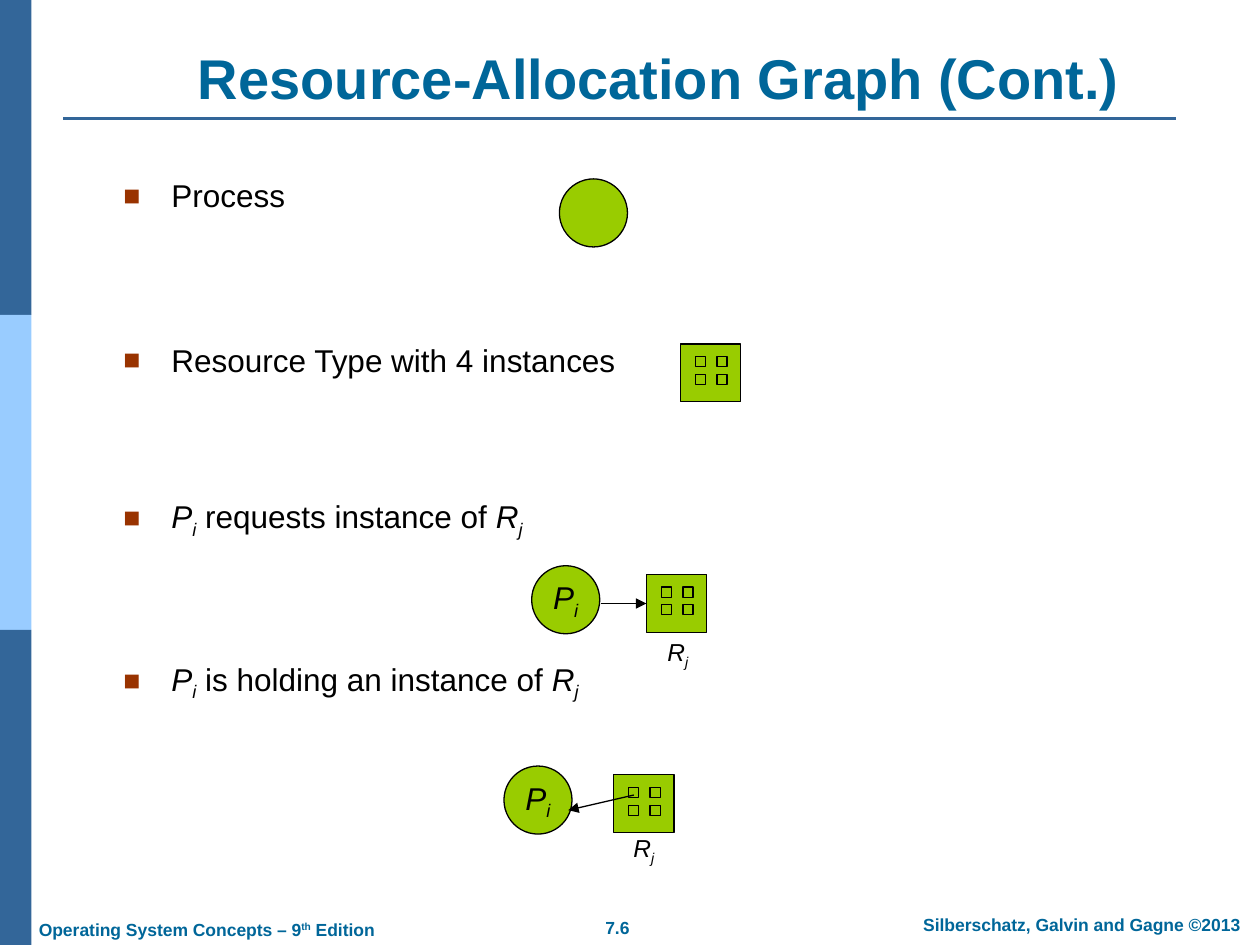
from lxml.etree import SubElement
from pptx import Presentation
from pptx.dml.color import RGBColor
from pptx.enum.shapes import MSO_CONNECTOR, MSO_SHAPE
from pptx.enum.text import MSO_ANCHOR, MSO_AUTO_SIZE, PP_ALIGN
from pptx.oxml.ns import qn
from pptx.util import Inches, Pt

BLUE = RGBColor(0x33, 0x66, 0x99)
SKY = RGBColor(0x99, 0xCC, 0xFF)
TEAL = RGBColor(0x00, 0x66, 0x99)
GREEN = RGBColor(0x99, 0xCC, 0x00)
BLACK = RGBColor(0, 0, 0)
RUST = "993300"

LEFT, CENTER = PP_ALIGN.LEFT, PP_ALIGN.CENTER
SHIFT = {"sub": "-25000", "sup": "30000"}

# Each piece of text is (words, style letters: "i" italic, "sub" or "sup")
TITLE = "Resource-Allocation Graph (Cont.)"
PI = [("P", ["i"]), ("i", ["i", "sub"])]
RJ = [("R", ["i"]), ("j", ["i", "sub"])]
BULLETS = [  # space before in points, pieces
    (0, [("Process", [])]),
    (72.4, [("Resource Type with 4 instances", [])]),
    (67.4, PI + [(" requests instance of ", [])] + RJ),
    (68.5, PI + [(" is holding an instance of ", [])] + RJ),
]
FOOTERS = [  # left, top, width, alignment, pieces
    (0.21, 7.24, 3.2, LEFT, [("Operating System Concepts – 9", []),
                             ("th", ["sup"]), (" Edition", [])]),
    (4.41, 7.23, 0.98, CENTER, [("7.6", [])]),
    (7.2, 7.2, 2.77, CENTER, [("Silberschatz, Galvin and Gagne ©2013", [])]),
]
CIRCLES = [(4.44, 1.42, []), (4.22, 4.49, PI), (4, 6.08, PI)]
BOXES = [(5.4, 2.73), (5.13, 4.56), (4.87, 6.15)]
LABELS = [(5.08, 5), (4.81, 6.56)]

prs = Presentation()
prs.slide_width, prs.slide_height = Inches(10), Inches(7.5)
slide = prs.slides.add_slide(prs.slide_layouts[1])
shapes = slide.shapes


def place(shape, left, top, width, height):
    shape.left, shape.top = Inches(left), Inches(top)
    shape.width, shape.height = Inches(width), Inches(height)


def write(par, pieces, size, color, bold=False):
    for words, style in pieces:
        run = par.add_run()
        run.text = words
        font = run.font
        font.name, font.size, font.bold = "Arial", Pt(size), bold
        font.italic = "i" in style
        font.color.rgb = color
        for key in style:
            if key in SHIFT:
                run._r.get_or_add_rPr().set("baseline", SHIFT[key])


def bullet(par):
    props = par._p.get_or_add_pPr()
    props.set("marL", str(Inches(0.38)))
    props.set("indent", str(-Inches(0.38)))
    SubElement(SubElement(props, qn("a:buClr")), qn("a:srgbClr")).set("val", RUST)
    SubElement(props, qn("a:buSzPct")).set("val", "90000")
    SubElement(props, qn("a:buFont")).set("typeface", "Arial")
    SubElement(props, qn("a:buChar")).set("char", "■")


def draw(home, kind, left, top, width, height, fill, edge=None):
    shape = home.add_shape(kind, Inches(left), Inches(top),
                           Inches(width), Inches(height))
    shape.shadow.inherit = False
    shape.fill.solid()
    shape.fill.fore_color.rgb = fill
    if edge is None:
        shape.line.fill.background()
    else:
        shape.line.color.rgb = edge
        shape.line.width = Pt(0.75)
    return shape


def rule(start, end, color, width, arrow=False):
    line = shapes.add_connector(MSO_CONNECTOR.STRAIGHT,
                                *map(Inches, start + end))
    line.line.color.rgb = color
    line.line.width = Pt(width)
    if arrow:
        SubElement(line.line._get_or_add_ln(), qn("a:tailEnd")).set("type", "triangle")
    SubElement(line._element.spPr, qn("a:effectLst"))
    return line


def label(left, top, width, height, pieces, size, color, align=CENTER, bold=False):
    frame = shapes.add_textbox(*map(Inches, (left, top, width, height))).text_frame
    frame.word_wrap = True
    frame.vertical_anchor = MSO_ANCHOR.MIDDLE
    par = frame.paragraphs[0]
    par.alignment = align
    write(par, pieces, size, color, bold)


def resource(left, top):
    """Draw a resource type with four instances and return its outer box."""
    home = shapes.add_group_shape().shapes
    box = draw(home, MSO_SHAPE.RECTANGLE, left, top, 0.48, 0.46, GREEN, BLACK)
    for row in range(2):
        for col in range(2):
            draw(home, MSO_SHAPE.RECTANGLE, left + 0.12 + 0.17 * col,
                 top + 0.1 + 0.14 * row, 0.08, 0.08, GREEN, BLACK)
    return box


# Side bands, title rule and footers
for i, color in enumerate((BLUE, SKY, BLUE)):
    draw(shapes, MSO_SHAPE.RECTANGLE, 0, 2.5 * i, 0.25, 2.5, color)
rule((0.5, 0.94), (9.33, 0.94), BLUE, 1.5)
for left, top, width, align, pieces in FOOTERS:
    label(left, top, width, 0.27, pieces, 10, TEAL, align, True)

# Title and list
title, body = shapes.title, slide.placeholders[1]
place(title, 0.96, 0.3, 8.54, 0.63)
place(body, 0.88, 1.35, 9, 4.96)
for holder in (title, body):
    holder.text_frame.auto_size = MSO_AUTO_SIZE.NONE
    holder.text_frame.word_wrap = True
title.text_frame.vertical_anchor = MSO_ANCHOR.BOTTOM
title.text_frame.paragraphs[0].alignment = CENTER
write(title.text_frame.paragraphs[0], [(TITLE, [])], 32, TEAL, True)
for i, (gap, pieces) in enumerate(BULLETS):
    frame = body.text_frame
    par = frame.add_paragraph() if i else frame.paragraphs[0]
    par.space_before, par.space_after = Pt(gap), Pt(0)
    bullet(par)
    write(par, pieces, 18, BLACK)

# Graph symbols
for left, top, pieces in CIRCLES:
    ball = draw(shapes, MSO_SHAPE.OVAL, left, top, 0.54, 0.54, GREEN, BLACK)
    frame = ball.text_frame
    frame.word_wrap = False
    frame.vertical_anchor = MSO_ANCHOR.MIDDLE
    frame.paragraphs[0].alignment = CENTER
    write(frame.paragraphs[0], pieces, 18, BLACK)
kind, asked, held = [resource(*spot) for spot in BOXES]
for left, top in LABELS:
    label(left, top, 0.6, 0.37, RJ, 14, BLACK)
rule((4.77, 4.79), (5.13, 4.79), BLACK, 0.75, True).end_connect(asked, 1)
rule((5.03, 6.31), (4.51, 6.43), BLACK, 0.75, True)

prs.save("out.pptx")
